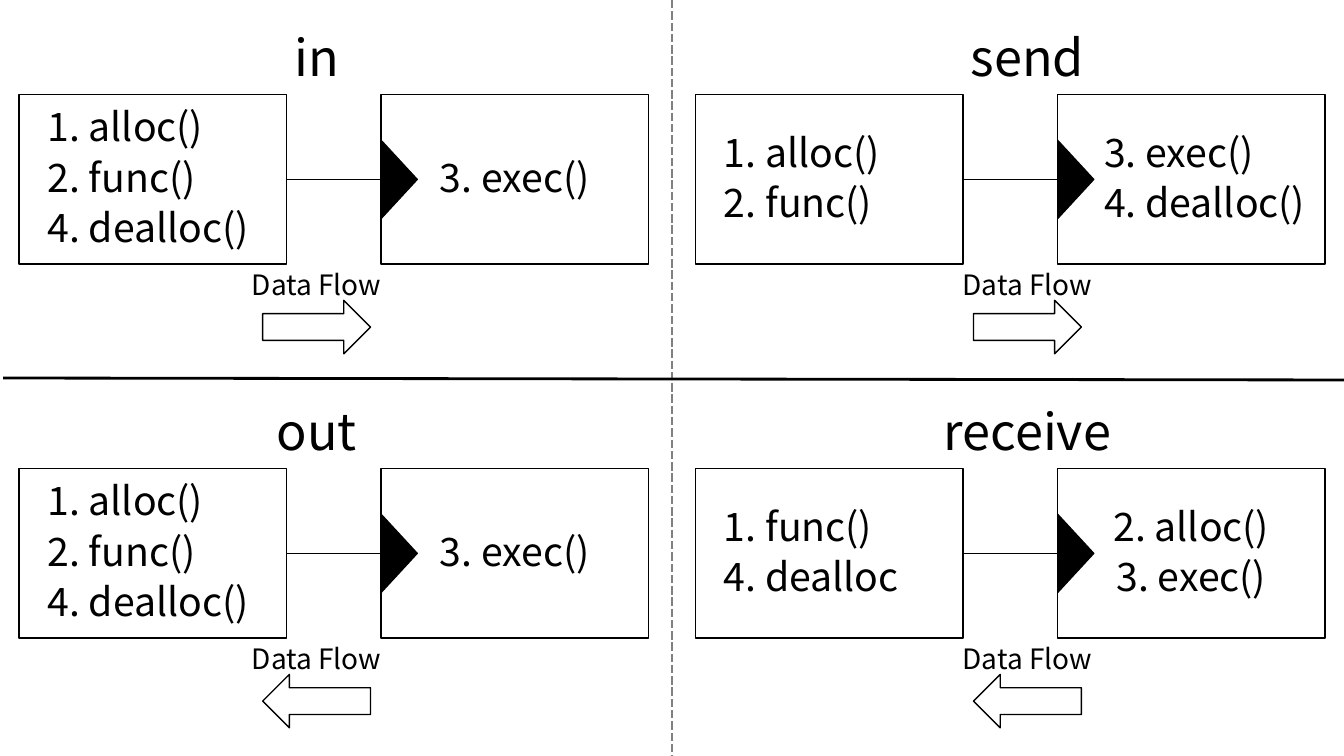
import pptx
import pptx.util
import pptx.dml.color
import pptx.enum.dml
import pptx.enum.shapes
import pptx.enum.text
import pptx.oxml
import pptx.oxml.ns
from lxml import etree

Inches, Pt = pptx.util.Inches, pptx.util.Pt
SHAPE = pptx.enum.shapes.MSO_SHAPE
STRAIGHT = pptx.enum.shapes.MSO_CONNECTOR.STRAIGHT
ALIGN = pptx.enum.text.PP_ALIGN
ANCHOR = pptx.enum.text.MSO_ANCHOR

# Content: one entry per quadrant, in reading order
FLOW_LABEL = "Data Flow"
QUADRANTS = [
    dict(title="in", caller=["1. alloc()", "2. func()", "4. dealloc()"],
         callee=["3. exec()"], callee_align=ALIGN.CENTER, flow_turn=0),
    dict(title="send", caller=["1. alloc()", "2. func()"],
         callee=["3. exec()", "4. dealloc()"], callee_align=ALIGN.LEFT, flow_turn=0),
    dict(title="out", caller=["1. alloc()", "2. func()", "4. dealloc()"],
         callee=["3. exec()"], callee_align=ALIGN.CENTER, flow_turn=180),
    dict(title="receive", caller=["1. func()", "4. dealloc"],
         callee=["2. alloc()", "3. exec()"], callee_align=ALIGN.CENTER, flow_turn=180),
]

COLORS = {"ink": "000000", "paper": "FFFFFF", "divider": "808080"}
FONT = "Noto Sans CJK JP"

# Layout: column and row origins, then sizes
SLIDE_W, SLIDE_H = 13.33, 7.5
BOX_LEFTS, BOX_TOPS = (0.19, 6.9), (0.94, 4.65)
TITLE_LEFTS, FLOW_CENTERS = (1.05, 8.1), (3.14, 10.19)
BOX_W, BOX_H, BOX_STEP = 2.65, 1.68, 3.59
TITLE_W, TITLE_H = 4.18, 0.66
LABEL_W, LABEL_H = 2.06, 0.45
ARROW_W, ARROW_H, ARROW_DROP = 1.07, 0.53, 2.04
HEAD_W, HEAD_H = 0.78, 0.36
MARGIN, CALLER_INDENT = 0.1, 0.28
CALLEE_INDENT = HEAD_H + MARGIN  # keeps the text clear of the arrowhead

deck = pptx.Presentation()
deck.slide_width, deck.slide_height = Inches(SLIDE_W), Inches(SLIDE_H)
slide = deck.slides.add_slide(deck.slide_layouts[6])


def color(name):
    return pptx.dml.color.RGBColor.from_string(COLORS[name])


def write(holder, lines, size, align=ALIGN.CENTER, anchor=ANCHOR.MIDDLE, indent=MARGIN):
    frame = holder.text_frame
    frame.word_wrap = True
    frame.vertical_anchor = anchor
    frame.margin_left = Inches(indent)
    for index, line in enumerate(lines):
        paragraph = frame.add_paragraph() if index else frame.paragraphs[0]
        paragraph.alignment = align
        paragraph.line_spacing = 0.9
        # Space before as a share of the text size
        before = etree.SubElement(paragraph._p.get_or_add_pPr(), pptx.oxml.ns.qn("a:spcBef"))
        etree.SubElement(before, pptx.oxml.ns.qn("a:spcPct"), val="20000")
        run = paragraph.add_run()
        run.text = line
        run.font.name, run.font.size = FONT, Pt(size)
        run.font.color.rgb = color("ink")


def label(text, left, top, width, height, **format):
    box = slide.shapes.add_textbox(*map(Inches, (left, top, width, height)))
    write(box, [text], **format)


def outline(kind, left, top, width, height, fill="paper", weight=1, turn=0):
    shape = slide.shapes.add_shape(kind, *map(Inches, (left, top, width, height)))
    shape.shadow.inherit = False
    shape.fill.solid()
    shape.fill.fore_color.rgb = color(fill)
    shape.line.color.rgb = color("ink")
    shape.line.width = Pt(weight)
    shape.rotation = turn
    return shape


def rule(x1, y1, x2, y2, weight, ink="ink"):
    line = slide.shapes.add_connector(STRAIGHT, *map(Inches, (x1, y1, x2, y2)))
    line.line.color.rgb = color(ink)
    line.line.width = Pt(weight)
    etree.SubElement(line._element.spPr, pptx.oxml.ns.qn("a:effectLst"))
    return line


def steps(lines, left, top, align, indent):
    box = outline(SHAPE.RECTANGLE, left, top, BOX_W, BOX_H)
    write(box, lines, size=28, align=align, indent=indent if align == ALIGN.LEFT else MARGIN)
    return box


# Dividers between the quadrants
column_divider = rule(SLIDE_W / 2, 0, SLIDE_W / 2, SLIDE_H, 2, "divider")
column_divider.line.dash_style = pptx.enum.dml.MSO_LINE.SQUARE_DOT
rule(SLIDE_W, 3.77, 0.03, 3.75, 2)

# Quadrants
for number, quadrant in enumerate(QUADRANTS):
    row, column = divmod(number, 2)
    left, top = BOX_LEFTS[column], BOX_TOPS[row]
    callee_left, middle = left + BOX_STEP, top + BOX_H / 2

    label(quadrant["title"], TITLE_LEFTS[column], top - TITLE_H, TITLE_W, TITLE_H,
          size=36, anchor=ANCHOR.TOP)

    # Caller, callee and the call between them
    caller = steps(quadrant["caller"], left, top, ALIGN.LEFT, CALLER_INDENT)
    callee = steps(quadrant["callee"], callee_left, top, quadrant["callee_align"],
                   CALLEE_INDENT)
    outline(SHAPE.ISOSCELES_TRIANGLE, callee_left + (HEAD_H - HEAD_W) / 2,
            middle - HEAD_H / 2, HEAD_W, HEAD_H, fill="ink", weight=0.75, turn=90)
    call = rule(left + BOX_W, middle, callee_left, middle, 0.75)
    call.begin_connect(caller, 3)
    call.end_connect(callee, 1)

    # Direction of the data
    center = FLOW_CENTERS[column]
    outline(SHAPE.RIGHT_ARROW, center - ARROW_W / 2, top + ARROW_DROP, ARROW_W, ARROW_H,
            turn=quadrant["flow_turn"])
    label(FLOW_LABEL, center - LABEL_W / 2, top + BOX_H, LABEL_W, LABEL_H, size=20)

deck.save("out.pptx")
